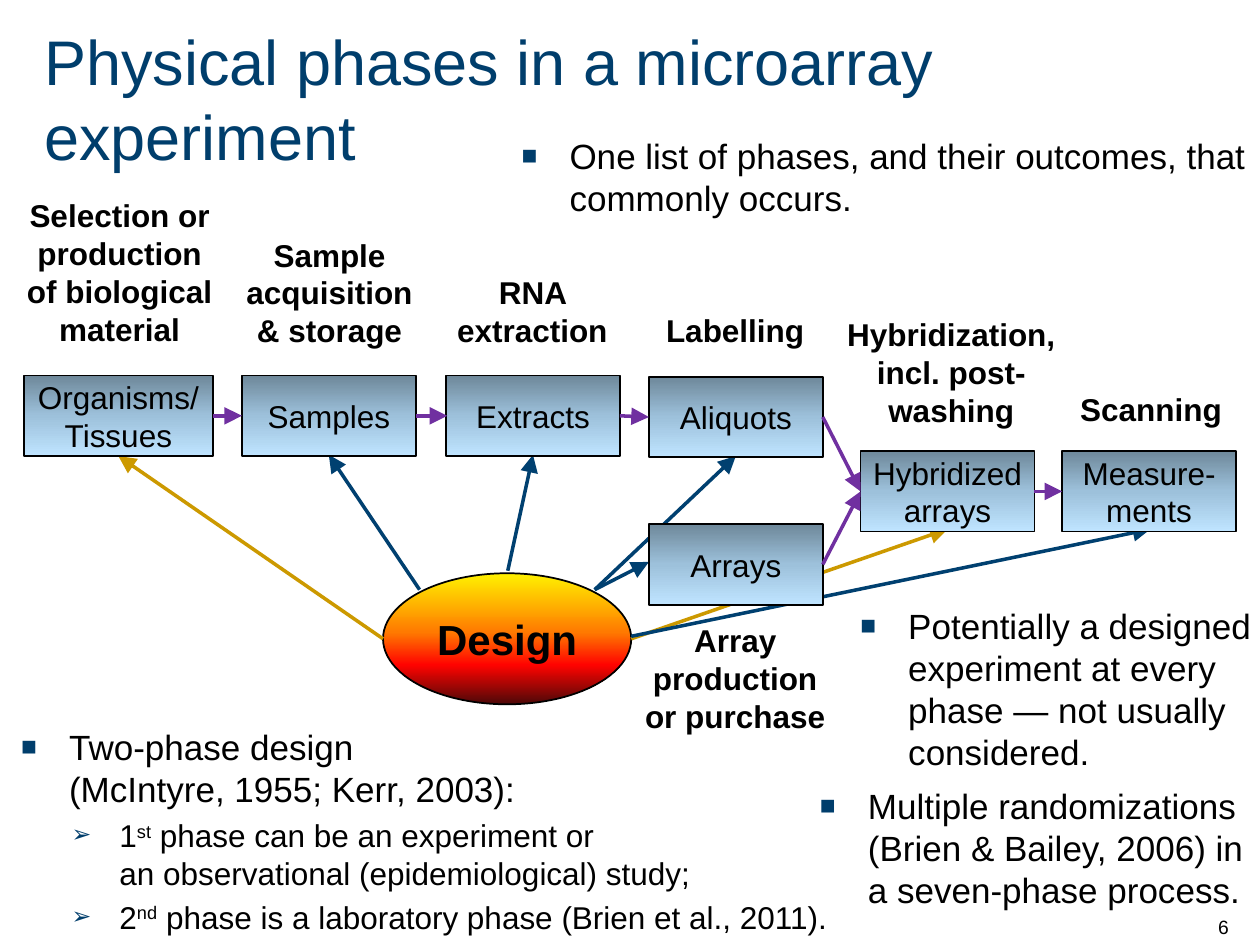
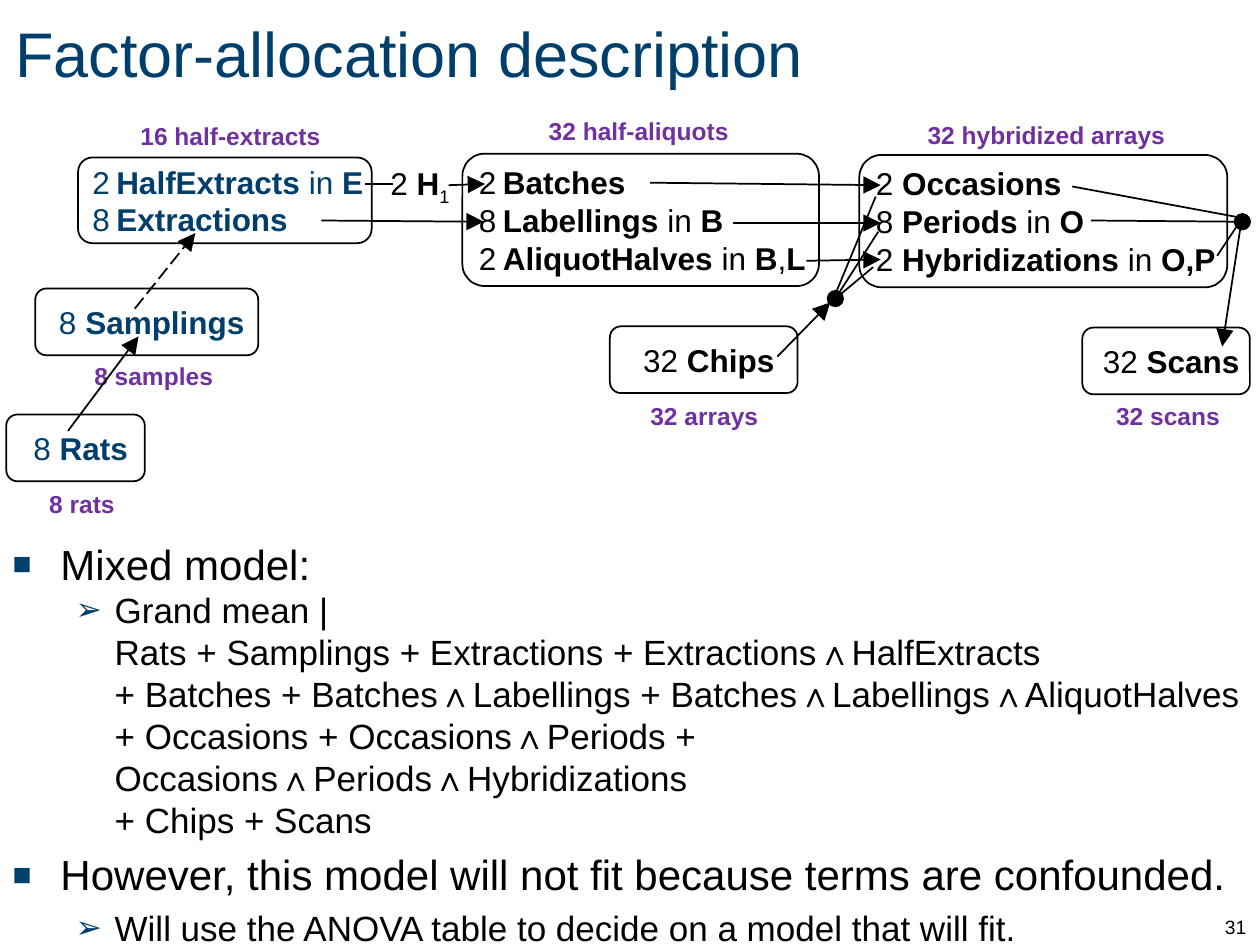
from dataclasses import dataclass
from itertools import groupby
from typing import Any, NamedTuple

from lxml.etree import SubElement
from pptx import Presentation
from pptx.dml.color import RGBColor
from pptx.enum.dml import MSO_LINE
from pptx.enum.shapes import MSO_CONNECTOR, MSO_SHAPE
from pptx.enum.text import MSO_ANCHOR, MSO_AUTO_SIZE, PP_ALIGN
from pptx.oxml.ns import qn
from pptx.util import Inches, Pt

LEFT, MID, RIGHT = PP_ALIGN.LEFT, PP_ALIGN.CENTER, PP_ALIGN.RIGHT
Stops = tuple[tuple[int, str], ...]


@dataclass(frozen=True)
class Theme:
    font: str = "Arial"
    navy: str = "003E6C"
    blue: str = "004070"
    gold: str = "CC9900"
    plum: str = "7030A0"
    ink: str = "000000"
    steel: Stops = ((0, "6E889A"), (50, "9DC1DB"), (100, "BFE4FF"))
    fire: Stops = ((0, "FFF200"), (45, "FF7A00"), (70, "FF0300"), (100, "4D0808"))
    title: int = 36
    head: int = 24
    body: int = 20
    text: int = 18
    note: int = 14
    page: int = 11


T = Theme()


class Area(NamedTuple):
    left: float
    top: float
    width: float
    height: float


class Style(NamedTuple):
    size: int = T.text
    color: str = T.ink
    bold: bool = False
    align: PP_ALIGN = MID


class Item(NamedTuple):
    text: str
    size: int = T.body
    mark: str = "■"
    left: float = 0.38
    hang: float = 0.38
    scale: int = 75
    gap: float = 0.2


class Label(NamedTuple):
    text: str
    area: Area


class Card(NamedTuple):
    """Outlined box with rows of text; a positive hang sets the column of counts."""
    rows: tuple[str, ...]
    area: Area
    color: str = T.ink
    hang: float = 0


class Link(NamedTuple):
    start: tuple[float, float]
    stop: tuple[float, float]
    color: str = T.ink
    tail: str = "triangle"
    width: float = 1
    dash: bool = False


LABEL = Style(bold=True)
NOTE = Style(T.note, T.plum, True)


def put(target: Any, values: dict[str, Any]) -> None:
    for name, value in values.items():
        setattr(target, name, value)


def inch(area: Area) -> list[int]:
    return [Inches(v) for v in area]


def write(par: Any, text: str, style: Style) -> None:
    """Add runs: * switches bold, ^ superscript, ~ subscript; a newline breaks."""
    par.alignment = style.align
    active: set[str] = set()
    for key, chars in groupby(text, lambda c: c if c in "*^~\n" else ""):
        if key == "\n":
            par.add_line_break()
        elif key:
            active ^= {key}
        else:
            run = par.add_run()
            run.text = "".join(chars)
            bold = style.bold or "*" in active
            put(run.font, {"name": T.font, "size": Pt(style.size), "bold": bold})
            run.font.color.rgb = RGBColor.from_string(style.color)
            for mark, shift in (("^", "30000"), ("~", "-25000")):
                if mark in active:
                    run.font._element.set("baseline", shift)


def setup(shape: Any, anchor: MSO_ANCHOR, left: float = 0.1, right: float = 0.1,
          wrap: bool = True) -> Any:
    frame = shape.text_frame
    put(frame, {
        "word_wrap": wrap, "auto_size": MSO_AUTO_SIZE.NONE, "vertical_anchor": anchor,
        "margin_left": Inches(left), "margin_right": Inches(right),
        "margin_top": Inches(0.05), "margin_bottom": Inches(0.05),
    })
    return frame


def place(shape: Any, area: Area) -> None:
    put(shape, dict(zip(("left", "top", "width", "height"), inch(area))))


def pars(frame: Any, rows: tuple) -> list:
    return [frame.paragraphs[0], *(frame.add_paragraph() for _ in rows[1:])]


def box(slide: Any, text: str, area: Area, style: Style,
        anchor: MSO_ANCHOR = MSO_ANCHOR.TOP) -> None:
    frame = setup(slide.shapes.add_textbox(*inch(area)), anchor)
    write(frame.paragraphs[0], text, style)


def indent(par: Any, left: float, hang: float) -> Any:
    props = par._p.get_or_add_pPr()
    props.set("marL", str(Inches(left)))
    props.set("indent", str(-Inches(hang)))
    return props


def bullets(shape: Any, items: tuple[Item, ...]) -> None:
    frame = setup(shape, MSO_ANCHOR.TOP)
    for par, item in zip(pars(frame, items), items):
        par.space_before = Pt(item.gap * item.size)
        write(par, item.text, Style(item.size, align=LEFT))
        props = indent(par, item.left, item.hang)
        if not item.mark:
            SubElement(props, qn("a:buNone"))
            continue
        tint = SubElement(props, qn("a:buClr"))
        SubElement(tint, qn("a:srgbClr"), val=T.navy)
        SubElement(props, qn("a:buSzPct"), val=str(item.scale * 1000))
        SubElement(props, qn("a:buFont"), typeface=T.font)
        SubElement(props, qn("a:buChar"), char=item.mark)


def shape(slide: Any, kind: MSO_SHAPE, area: Area, stops: Stops = ()) -> Any:
    form = slide.shapes.add_shape(kind, *inch(area))
    form.shadow.inherit = False
    form.line.color.rgb = RGBColor.from_string(T.ink)
    form.line.width = Pt(1)
    if not stops:
        form.fill.background()
        return form
    form.fill.gradient()
    form.fill.gradient_angle = 270
    ramp = form._element.spPr.find(".//" + qn("a:gsLst"))
    ramp.clear()
    for pos, color in stops:
        stop = SubElement(ramp, qn("a:gs"), pos=str(pos * 1000))
        SubElement(stop, qn("a:srgbClr"), val=color)
    return form


def block(slide: Any, kind: MSO_SHAPE, label: Label, stops: Stops, style: Style) -> None:
    frame = setup(shape(slide, kind, label.area, stops), MSO_ANCHOR.MIDDLE, 0.05, 0.05)
    write(frame.paragraphs[0], label.text, style)


def card(slide: Any, spec: Card) -> None:
    form = shape(slide, MSO_SHAPE.ROUNDED_RECTANGLE, spec.area)
    frame = setup(form, MSO_ANCHOR.MIDDLE, 0.08, 0, wrap=False)
    style = Style(color=spec.color, align=LEFT if len(spec.rows) > 1 else MID)
    for par, row in zip(pars(frame, spec.rows), spec.rows):
        write(par, row, style)
        indent(par, spec.hang, spec.hang)


def link(slide: Any, spec: Link) -> None:
    ends = [Inches(v) for v in (*spec.start, *spec.stop)]
    line = slide.shapes.add_connector(MSO_CONNECTOR.STRAIGHT, *ends)
    line.line.color.rgb = RGBColor.from_string(spec.color)
    line.line.width = Pt(spec.width)
    if spec.dash:
        line.line.dash_style = MSO_LINE.LONG_DASH
    if spec.tail:
        size = {"w": "lg", "len": "lg"}
        SubElement(line.line._get_or_add_ln(), qn("a:tailEnd"), type=spec.tail, **size)
    SubElement(line._element.spPr, qn("a:effectLst"))


def start(deck: Any, title: str, area: Area, page: str, align: PP_ALIGN) -> Any:
    """Add a slide with its title and page number."""
    slide = deck.slides.add_slide(deck.slide_layouts[1])
    head = slide.shapes.title
    place(head, area)
    frame = setup(head, MSO_ANCHOR.MIDDLE)
    write(frame.paragraphs[0], title, Style(T.title, T.navy, align=LEFT))
    box(slide, page, Area(9.57, 7, 0.42, 0.5), Style(T.page, align=align), MSO_ANCHOR.BOTTOM)
    return slide


def phases(deck: Any) -> None:
    slide = start(deck, "Physical phases in a microarray experiment",
                  Area(0.25, 0, 9.75, 1.55), "6", LEFT)
    body = slide.placeholders[1]
    place(body, Area(4.04, 1.02, 5.98, 0.85))
    bullets(body, (Item("One list of phases, and their outcomes, that commonly occurs."),))
    sub = {"size": T.text, "mark": "➢", "left": 0.78}
    lists = (
        (Area(6.73, 4.75, 3.32, 1.37), (
            Item("Potentially a designed experiment at every phase — not usually considered."),)),
        (Area(0.07, 5.71, 7.3, 1.79), (
            Item("Two-phase design \n(McIntyre, 1955; Kerr, 2003):"),
            Item("1^st^ phase can be an experiment or \n"
                 "an observational (epidemiological) study;", **sub),
            Item("2^nd^ phase is a laboratory phase (Brien et al., 2011).", **sub))),
        (Area(6.41, 6.18, 3.67, 1.28), (
            Item("Multiple randomizations (Brien & Bailey, 2006) in a seven-phase process."),)),
    )
    for area, items in lists:
        bullets(slide.shapes.add_textbox(*inch(area)), items)

    design = Label("Design", Area(3.04, 4.55, 1.97, 1.04))
    block(slide, MSO_SHAPE.OVAL, design, T.fire, Style(T.head, bold=True))
    fan = (
        ((3.04, 5.07), (0.94, 3.62), T.gold), ((5.01, 5.07), (7.52, 4.2), T.gold),
        ((4.72, 4.68), (5.84, 3.62), T.blue), ((4.72, 4.68), (5.15, 4.46), T.blue),
        ((3.33, 4.68), (2.61, 3.61), T.blue), ((4.03, 4.53), (4.23, 3.61), T.blue),
        ((5.01, 5.05), (9.13, 4.2), T.blue),
    )
    for begin, end, color in fan:
        link(slide, Link(begin, end, color, width=2))

    labels = (
        Label("Selection or production of biological material", Area(0.07, 1.51, 1.76, 1.31)),
        Label("Sample acquisition & storage", Area(1.79, 1.82, 1.65, 1.01)),
        Label("RNA extraction", Area(3.4, 2.12, 1.65, 0.71)),
        Label("Labelling", Area(5.01, 2.42, 1.65, 0.4)),
        Label("Array production or purchase", Area(5.01, 4.88, 1.65, 1.01)),
        Label("Hybridization, incl. post-washing", Area(6.61, 2.45, 1.88, 1.01)),
        Label("Scanning", Area(8.36, 3.05, 1.55, 0.4)),
    )
    for label in labels:
        box(slide, *label, LABEL)
    stages = (
        ("Organisms/Tissues", 0.19, 2.98, 1.5), ("Samples", 1.92, 2.98, 1.38),
        ("Extracts", 3.54, 2.98, 1.38), ("Aliquots", 5.15, 2.99, 1.38),
        ("Arrays", 5.15, 4.16, 1.38), ("Hybridized arrays", 6.83, 3.58, 1.38),
        ("Measure-ments", 8.43, 3.58, 1.38),
    )
    for text, left, top, width in stages:
        stage = Label(text, Area(left, top, width, 0.64))
        block(slide, MSO_SHAPE.RECTANGLE, stage, T.steel, Style())
    flow = (
        ((1.69, 3.3), (1.92, 3.3)), ((3.3, 3.3), (3.55, 3.3)), ((4.92, 3.3), (5.15, 3.31)),
        ((6.53, 3.31), (6.83, 3.9)), ((6.53, 4.48), (6.83, 3.9)), ((8.21, 3.9), (8.43, 3.9)),
    )
    for begin, end in flow:
        link(slide, Link(begin, end, T.plum, width=2))


def factors(deck: Any) -> None:
    slide = start(deck, "Factor-allocation description",
                  Area(0.02, 0.06, 9.8, 0.71), "31", RIGHT)
    cards = (
        Card(("8 *Rats*",), Area(0.05, 3.29, 1.1, 0.53), T.navy),
        Card(("8 *Samplings*",), Area(0.28, 2.29, 1.77, 0.53), T.navy),
        Card(("2\t*HalfExtracts* in *E*", "8\t*Extractions*"),
             Area(0.62, 1.25, 2.33, 0.68), T.navy, 0.19),
        Card(("2\t*Batches*", "8\t*Labellings* in *B*", "2\t*AliquotHalves* in *B*,*L*"),
             Area(3.67, 1.22, 2.83, 1.05), hang=0.19),
        Card(("2 *Occasions*", "8 *Periods* in *O*", "2 *Hybridizations* in *O,P*"),
             Area(6.82, 1.23, 2.92, 1.05)),
        Card(("32 *Chips*",), Area(4.84, 2.59, 1.49, 0.53)),
        Card(("32 *Scans*",), Area(8.59, 2.6, 1.33, 0.53)),
    )
    for item in cards:
        card(slide, item)
    notes = (
        ("8 rats", 0.29, 3.83, 0.72), ("8 samples", 0.41, 2.82, 1.62),
        ("16 half-extracts", 1.01, 0.91, 1.64), ("32 half-aliquots", 4.21, 0.87, 1.72),
        ("32 hybridized arrays", 7.12, 0.9, 2.37), ("32 arrays", 5.04, 3.13, 1.1),
        ("32 scans", 8.61, 3.13, 1.32),
    )
    for text, left, top, width in notes:
        box(slide, text, Area(left, top, width, 0.34), NOTE)
    box(slide, "2 *H*~1~", Area(3, 1.25, 0.69, 0.4), Style(align=LEFT))

    links = (
        Link((1.07, 2.45), (1.55, 1.85), dash=True), Link((0.54, 3.42), (1.1, 2.67)),
        Link((2.9, 1.46), (3.12, 1.46), tail=""), Link((3.56, 1.47), (3.85, 1.46)),
        Link((2.55, 1.75), (3.84, 1.76)), Link((5.16, 1.45), (6.99, 1.47)),
        Link((5.82, 1.77), (6.99, 1.77)), Link((6.4, 2.07), (6.99, 2.06)),
        Link((6.17, 2.83), (6.59, 2.4)), Link((6.97, 1.84), (6.63, 2.37), tail="oval"),
        Link((6.63, 2.37), (6.93, 2.12), tail=""), Link((6.62, 2.36), (6.95, 1.56), tail=""),
        Link((9.85, 1.77), (9.7, 2.75)), Link((8.66, 1.75), (9.86, 1.76), tail="oval"),
        Link((9.86, 1.73), (9.66, 2.03), tail=""), Link((9.86, 1.73), (8.51, 1.48), tail=""),
    )
    for item in links:
        link(slide, item)

    sub = {"mark": "➢", "left": 0.81, "hang": 0.31, "scale": 90}
    terms = (
        "Rats + Samplings + Extractions + Extractions∧HalfExtracts",
        "+ Batches + Batches∧Labellings + Batches∧Labellings∧AliquotHalves",
        "+ Occasions + Occasions∧Periods + Occasions∧Periods∧Hybridizations",
        "+ Chips + Scans",
    )
    body = slide.placeholders[1]
    place(body, Area(0, 4.22, 10, 3.37))
    bullets(body, (
        Item("Mixed model:", T.head),
        Item("Grand mean |", gap=0, **sub),
        *(Item(term, mark="", left=0.81, hang=0, gap=0) for term in terms),
        Item("However, this model will not fit because terms are confounded.", T.head),
        Item("Will use the ANOVA table to decide on a model that will fit.", **sub),
    ))


def main() -> None:
    deck = Presentation()
    put(deck, {"slide_width": Inches(10), "slide_height": Inches(7.5)})
    phases(deck)
    factors(deck)
    deck.save("out.pptx")


if __name__ == "__main__":
    main()
